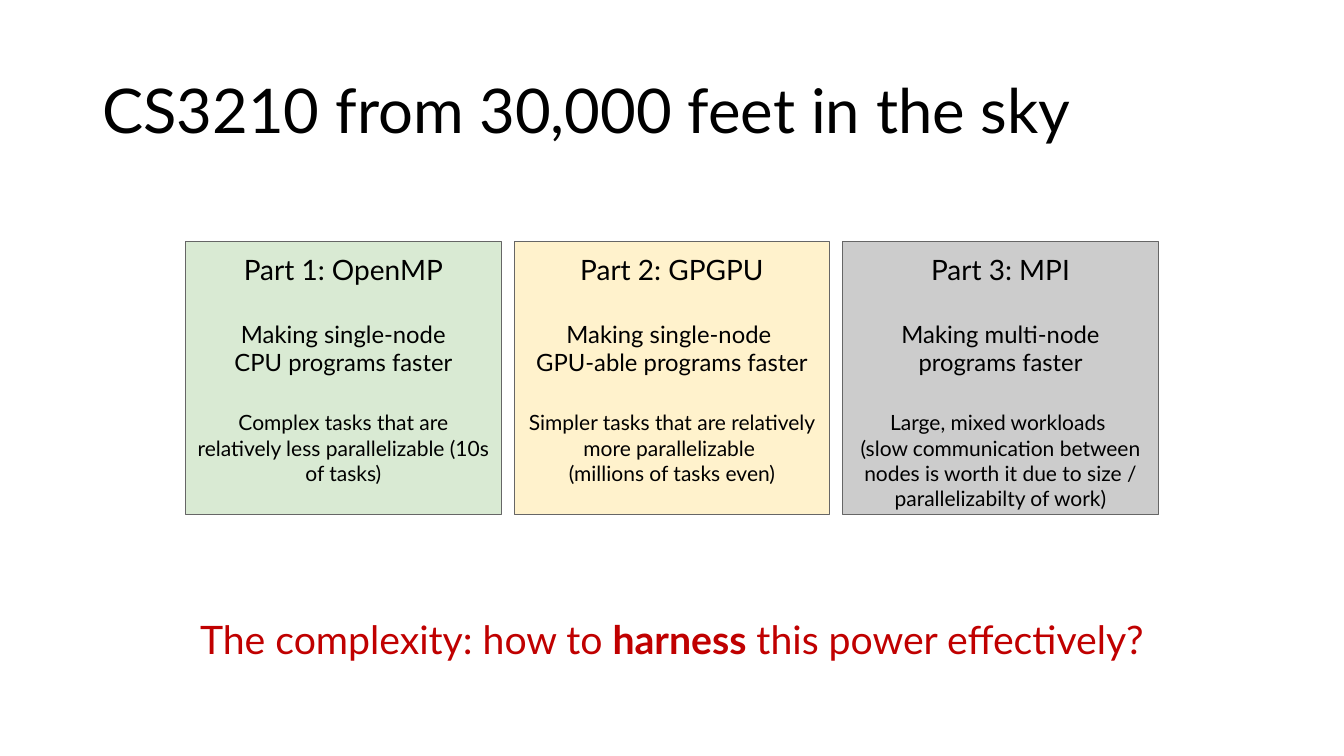
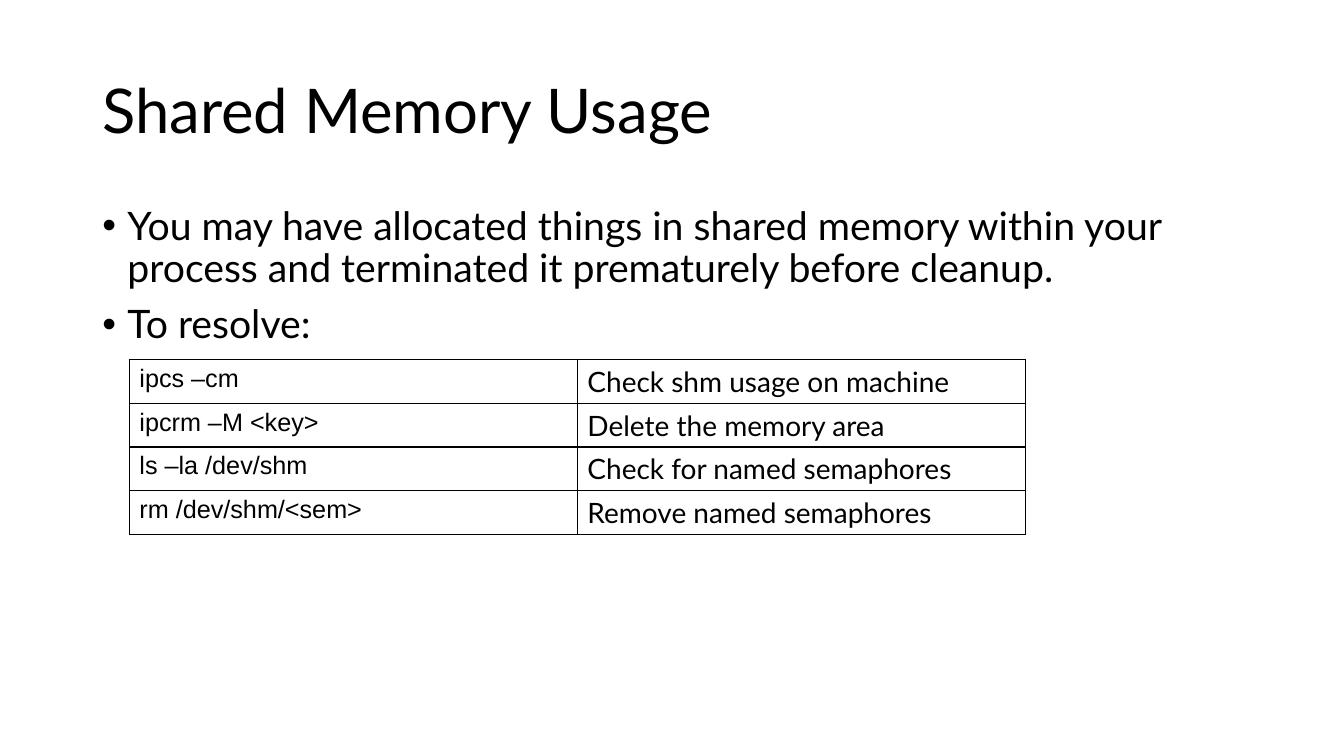
from lxml import etree
from pptx import Presentation
from pptx.dml.color import RGBColor
from pptx.enum.shapes import MSO_SHAPE
from pptx.enum.text import MSO_ANCHOR, PP_ALIGN
from pptx.oxml.ns import qn
from pptx.util import Pt

CENTER = PP_ALIGN.CENTER
LEFT = PP_ALIGN.LEFT
TOP = MSO_ANCHOR.TOP
MIDDLE = MSO_ANCHOR.MIDDLE
RECTANGLE = MSO_SHAPE.RECTANGLE

COLORS = {
    "text": "000000",
    "question": "C00000",
    "openmp": "D9EAD3",
    "gpgpu": "FFF2CC",
    "mpi": "CCCCCC",
    "outline": "666666",
    "border": "000000",
}
MARGIN = 66
CONTENT_WIDTH = 828
BULLET_INDENT = 18


def add_run(paragraph, text, size, color="text", font="Lato", bold=False):
    run = paragraph.add_run()
    run.text = text
    run.font.name = font
    run.font.size = Pt(size)
    run.font.bold = bold
    run.font.color.rgb = RGBColor.from_string(COLORS[color])


def add_text_area(slide, top, height, anchor=TOP):
    area = slide.shapes.add_textbox(Pt(MARGIN), Pt(top), Pt(CONTENT_WIDTH), Pt(height))
    area.text_frame.word_wrap = True
    area.text_frame.vertical_anchor = anchor
    return area.text_frame


prs = Presentation()
prs.slide_width = Pt(960)
prs.slide_height = Pt(540)

slides = []
for title in ["CS3210 from 30,000 feet in the sky", "Shared Memory Usage"]:
    slide = prs.slides.add_slide(prs.slide_layouts[6])
    heading = add_text_area(slide, 28.75, 104.4, MIDDLE).paragraphs[0]
    heading.line_spacing = 0.9
    add_run(heading, title, 44)
    slides.append(slide)
overview, shared_memory = slides

question = add_text_area(overview, 439.5, 46.8).paragraphs[0]
question.alignment = CENTER
question.line_spacing = 0.9
question.space_before = Pt(10)
for text, bold in [
    ("The complexity: how to ", False),
    ("harness", True),
    (" this power effectively?", False),
]:
    add_run(question, text, 28, "question", bold=bold)

PART_LEFT, PART_STEP, PART_WIDTH = 132.6, 234.7, 225.4
PART_SIZES = [20, 17, 15]
parts = [
    ("openmp", [
        "Part 1: OpenMP",
        "Making single-node\nCPU programs faster",
        "Complex tasks that are relatively less parallelizable (10s of tasks)",
    ]),
    ("gpgpu", [
        "Part 2: GPGPU",
        "Making single-node \nGPU-able programs faster",
        "Simpler tasks that are relatively more parallelizable \n(millions of tasks even)",
    ]),
    ("mpi", [
        "Part 3: MPI",
        "Making multi-node programs faster",
        "Large, mixed workloads \n(slow communication between nodes is worth it due to size / "
        "parallelizabilty of work)",
    ]),
]
for column, (color, texts) in enumerate(parts):
    part = overview.shapes.add_shape(
        RECTANGLE, Pt(PART_LEFT + column * PART_STEP), Pt(172.8), Pt(PART_WIDTH), Pt(194.6)
    )
    part.shadow.inherit = False
    part.fill.solid()
    part.fill.fore_color.rgb = RGBColor.from_string(COLORS[color])
    part.line.color.rgb = RGBColor.from_string(COLORS["outline"])
    part.line.width = Pt(0.75)
    frame = part.text_frame
    frame.word_wrap = True
    frame.vertical_anchor = TOP
    frame.margin_left = frame.margin_right = frame.margin_top = frame.margin_bottom = Pt(7.2)
    for row, (text, size) in enumerate(zip(texts, PART_SIZES)):
        paragraph = frame.add_paragraph() if row else frame.paragraphs[0]
        paragraph.alignment = CENTER
        paragraph.space_before = Pt(24 if row else 0)
        for number, line in enumerate(text.split("\n")):
            if number:
                paragraph.add_line_break()
            add_run(paragraph, line, size)

body = add_text_area(shared_memory, 143.75, 342.7)
points = [
    "You may have allocated things in shared memory within your process and terminated it "
    "prematurely before cleanup.",
    "To resolve:",
]
for number, text in enumerate(points):
    point = body.add_paragraph() if number else body.paragraphs[0]
    point.line_spacing = 0.9
    point.space_before = Pt(10)
    properties = point._p.get_or_add_pPr()
    properties.set("marL", str(Pt(BULLET_INDENT)))
    properties.set("indent", str(-Pt(BULLET_INDENT)))
    etree.SubElement(properties, qn("a:buFont"), typeface="Arial")
    etree.SubElement(properties, qn("a:buChar"), char="•")
    add_run(point, text, 28)

commands = [
    ("ipcs –cm", "Check shm usage on machine"),
    ("ipcrm –M <key>", "Delete the memory area"),
    ("ls –la /dev/shm", "Check for named semaphores"),
    ("rm /dev/shm/<sem>", "Remove named semaphores"),
]
ROW_HEIGHT = 31.2
command_table = shared_memory.shapes.add_table(
    len(commands), 2, Pt(92.4), Pt(256.8), Pt(640), Pt(ROW_HEIGHT * len(commands))
).table
command_table.first_row = False
command_table.horz_banding = False
for row, entry in enumerate(commands):
    command_table.rows[row].height = Pt(ROW_HEIGHT)
    for column, (text, font, size) in enumerate(zip(entry, ["Arial", "Lato"], [18, 20])):
        cell = command_table.cell(row, column)
        cell_properties = cell._tc.get_or_add_tcPr()
        for side in ["lnL", "lnR", "lnT", "lnB"]:
            border = etree.SubElement(cell_properties, qn("a:" + side), w=str(Pt(1)))
            border_fill = etree.SubElement(border, qn("a:solidFill"))
            etree.SubElement(border_fill, qn("a:srgbClr"), val=COLORS["border"])
        cell.fill.background()
        paragraph = cell.text_frame.paragraphs[0]
        paragraph.alignment = LEFT
        add_run(paragraph, text, size, font=font)

prs.save("out.pptx")
